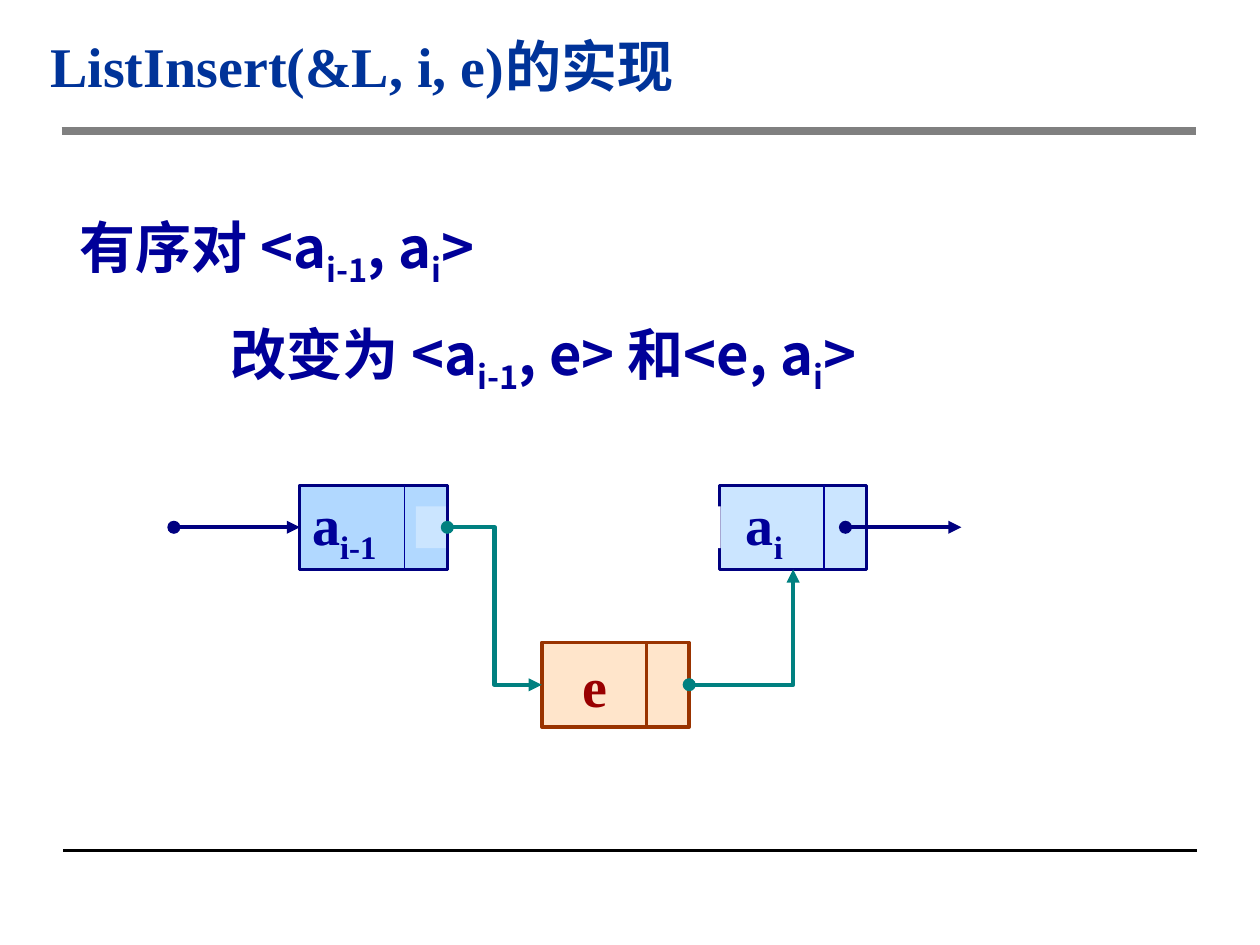
from pptx import Presentation, util as u
from pptx.dml.color import RGBColor
from pptx.enum import shapes, text
from pptx.oxml.ns import qn
from lxml import etree

LATIN, CJK = "Times New Roman", "Noto Sans CJK SC"
NAVY, INK, TEAL, BROWN = "000080", "000099", "008080", "993300"

# Content: a run is (text, format)
SUB = {"sub": True}
TITLE = [("ListInsert(&L, i, e)", {}), ("的实现", {"font": CJK})]
BODY = [  # indent, runs
    (0, [(" ", {"size": 36, "bold": False}), ("有序对 <a", {}), ("i-1", SUB),
         (", a", {}), ("i", SUB), (">", {})]),
    (1.31, [("改变为 <a", {}), ("i-1", SUB), (", e> 和<e, a", {}),
            ("i", SUB), (">", {})]),
]
RULES = [(0.5, 6.75, "000000", 2), (0.49, 1.04, "808080", 5)]  # x, y, colour, pt
RULE_W = 9

# List nodes: one size, pointer field split off at a fixed share
NODE_W, NODE_H, SPLIT = 1.17, 0.67, 0.71
TOP, LOW = 3.85, 5.1
BLUE = dict(fill="99CCFF", line=NAVY, width=1.75, color=INK, split=(INK, 0.75))
ORANGE = dict(fill="FFCC99", line=BROWN, width=2, color="990000", split=(BROWN, 2))
PREV = dict(at=(2.38, TOP), runs=[("a", {}), ("i-1", SUB)], inset=0.1, **BLUE)
NEW = dict(at=(4.3, LOW), runs=[("e", {})], inset=0.32, **ORANGE)
NEXT = dict(at=(5.71, TOP), runs=[("a", {}), ("i", SUB)], inset=0.21, **BLUE)


def rgb(value):
    return RGBColor.from_string(value)


def write(p, runs, color, font=LATIN, size=32):
    for words, fmt in runs:
        r = p.add_run()
        r.text = words
        f = r.font
        f.name = fmt.get("font", font)
        f.size = u.Pt(fmt.get("size", size))
        f.bold = fmt.get("bold", True)
        f.color.rgb = rgb(color)
        rPr = f._element
        etree.SubElement(rPr, qn("a:ea")).set("typeface", fmt.get("font", CJK))
        if fmt.get("sub"):
            rPr.set("baseline", "-25000")


def connect(s, start, end, color, width, kind="STRAIGHT", arrow=False):
    c = s.shapes.add_connector(getattr(shapes.MSO_CONNECTOR, kind),
                               *(u.Inches(v) for v in (*start, *end)))
    c.line.color.rgb = rgb(color)
    c.line.width = u.Pt(width)
    if arrow:
        ln = c.line._get_or_add_ln()
        for tag, head in (("a:headEnd", "oval"), ("a:tailEnd", "triangle")):
            etree.SubElement(ln, qn(tag)).set("type", head)
    etree.SubElement(c._element.spPr, qn("a:effectLst"))
    return c


def rect(s, x, y, w, h, fill):
    sp = s.shapes.add_shape(shapes.MSO_SHAPE.RECTANGLE,
                            *(u.Inches(v) for v in (x, y, w, h)))
    sp.shadow.inherit = False
    sp.fill.solid()
    sp.fill.fore_color.rgb = rgb(fill)
    sp.line.fill.background()
    return sp


def add_node(s, at, runs, inset, fill, line, width, color, split, divided=True):
    x, y = at
    sp = rect(s, x, y, NODE_W, NODE_H, fill)
    clr = sp._element.spPr.find(qn("a:solidFill"))[0]
    etree.SubElement(clr, qn("a:alpha")).set("val", "50000")
    sp.line.color.rgb = rgb(line)
    sp.line.width = u.Pt(width)
    tf = sp.text_frame
    tf.word_wrap = False
    tf.vertical_anchor = text.MSO_ANCHOR.MIDDLE
    tf.margin_left = u.Inches(inset)
    tf.paragraphs[0].alignment = text.PP_ALIGN.LEFT
    write(tf.paragraphs[0], runs, color)
    if divided:
        mid = x + NODE_W * SPLIT
        connect(s, (mid, y), (mid, y + NODE_H), *split)
    return sp


def main():
    prs = Presentation()
    prs.slide_width, prs.slide_height = u.Inches(10), u.Inches(7.5)
    s = prs.slides.add_slide(prs.slide_layouts[5])

    # Title
    t = s.shapes.title
    t.left, t.top, t.width, t.height = (u.Inches(v) for v in (0.3, 0.18, 8.5, 0.68))
    tf = t.text_frame
    tf.auto_size = text.MSO_AUTO_SIZE.NONE
    tf.vertical_anchor = text.MSO_ANCHOR.MIDDLE
    tf.paragraphs[0].alignment = text.PP_ALIGN.LEFT
    write(tf.paragraphs[0], TITLE, "003399")

    # Header and footer rules
    for x, y, color, width in RULES:
        connect(s, (x, y), (x + RULE_W, y), color, width)

    # Ordered pairs before and after the insertion
    tf = s.shapes.add_textbox(*(u.Inches(v) for v in (0.42, 1.32, 8.5, 1.99))).text_frame
    tf.word_wrap = True
    for i, (indent, runs) in enumerate(BODY):
        p = tf.add_paragraph() if i else tf.paragraphs[0]
        p.line_spacing = 1.4
        p._p.get_or_add_pPr().set("marL", str(u.Inches(indent)))
        write(p, runs, INK, font=CJK)

    # Nodes; a white band clears the old link, a second layer deepens the first node
    add_node(s, **PREV, divided=False)
    new = add_node(s, **NEW)
    nxt = add_node(s, **NEXT)
    rect(s, 3.3, 4.02, 2.42, 0.33, "FFFFFF")
    prev = add_node(s, **PREV)

    # Links in and out of the list
    mid = TOP + NODE_H / 2
    link = connect(s, (1.38, mid), (2.38, mid), NAVY, 2.5, arrow=True)
    link.end_connect(prev, 1)
    connect(s, (6.71, mid), (7.63, mid), NAVY, 2.5, arrow=True)

    # New links through the inserted node
    low = LOW + NODE_H / 2
    link = connect(s, (3.56, mid), (4.28, low), TEAL, 2.5, "ELBOW", True)
    link.begin_connect(prev, 3)
    link.end_connect(new, 1)
    link = connect(s, (5.48, low), (6.3, 4.53), TEAL, 2.5, "ELBOW", True)
    link._element.spPr.find(qn("a:prstGeom")).set("prst", "bentConnector2")
    link.begin_connect(new, 3)
    link.end_connect(nxt, 2)

    prs.save("out.pptx")


if __name__ == "__main__":
    main()
